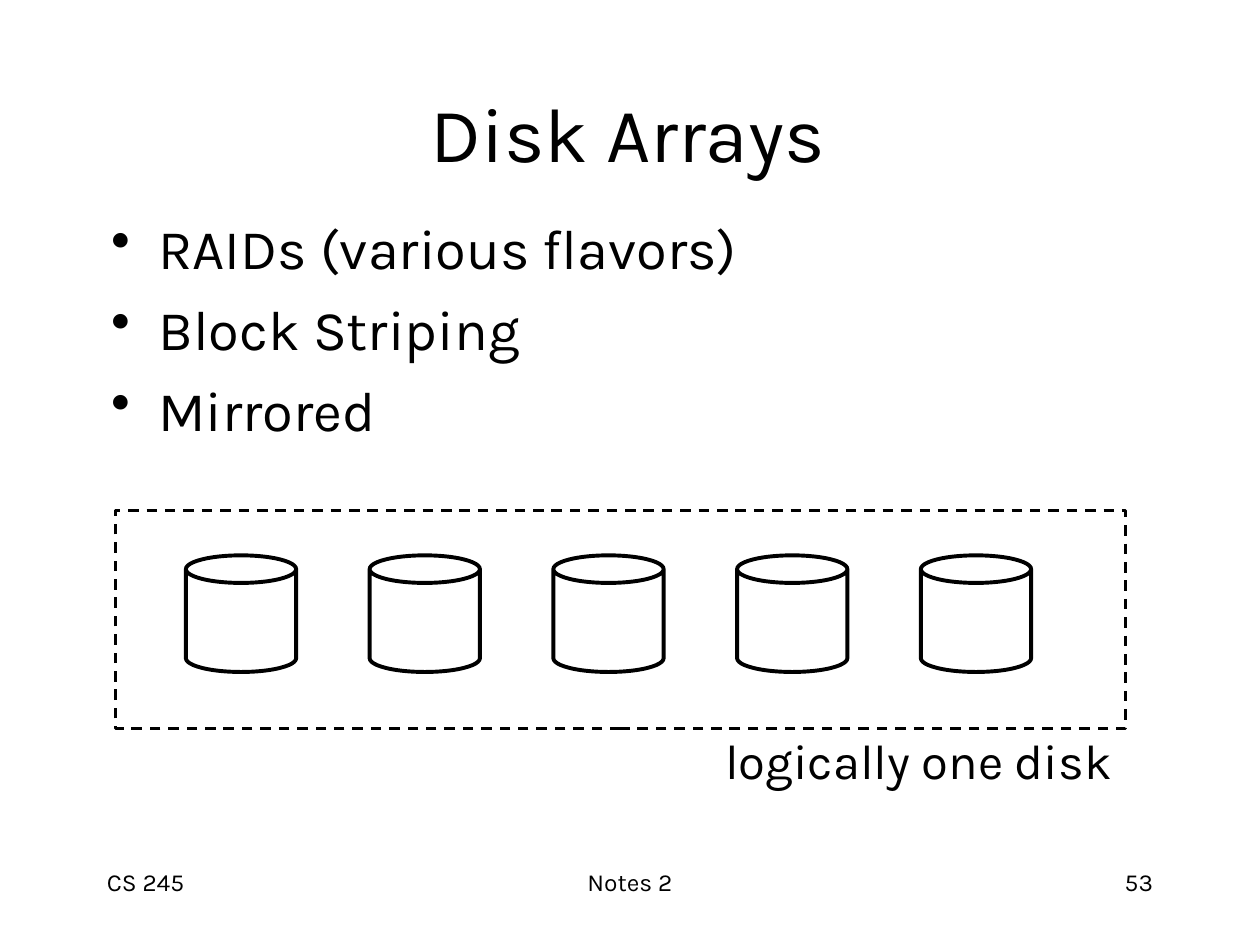
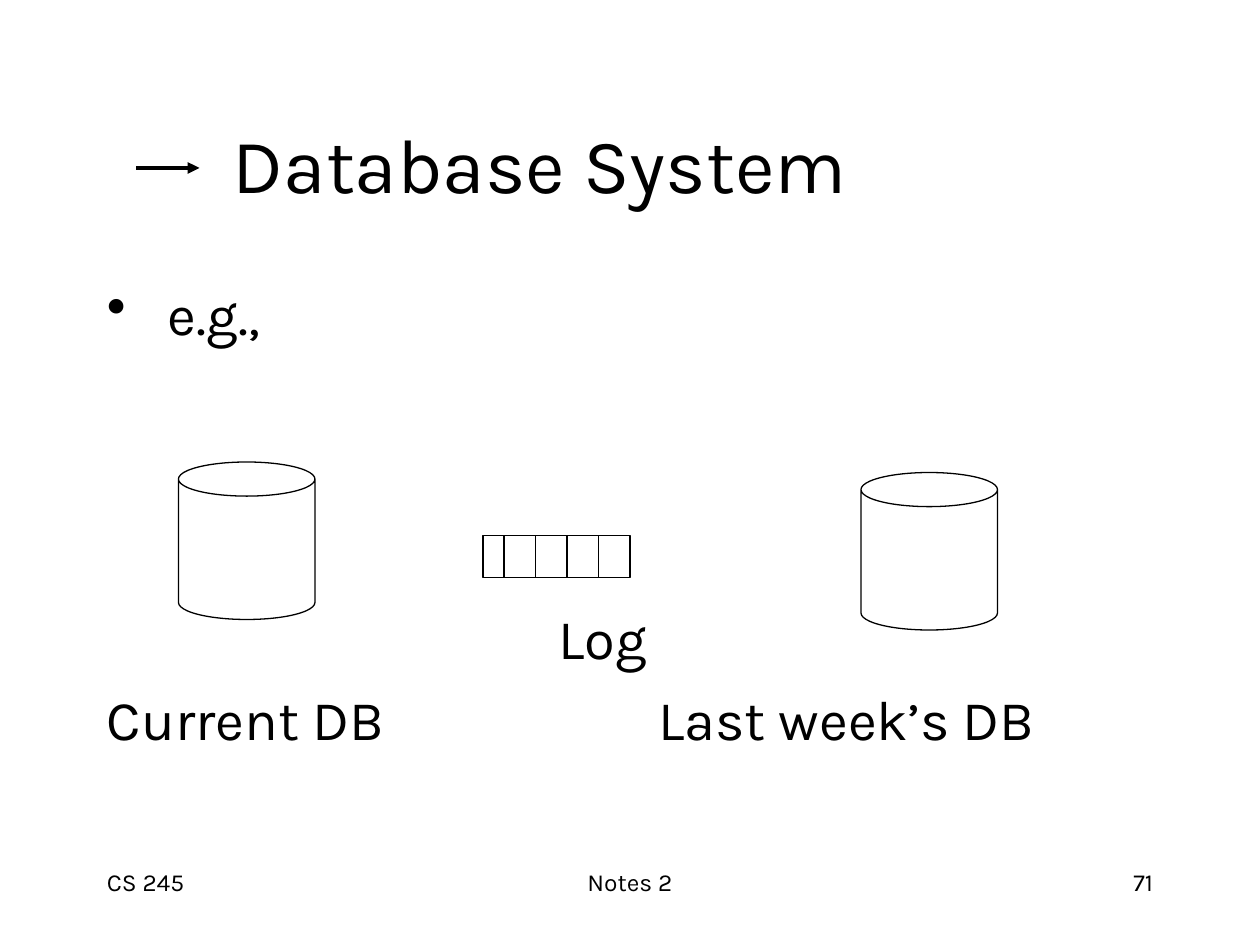
from lxml import etree
from pptx import Presentation
from pptx.dml.color import RGBColor
from pptx.enum.dml import MSO_LINE_DASH_STYLE as Dash
from pptx.enum.shapes import MSO_CONNECTOR_TYPE as Connector, MSO_SHAPE as Shape
from pptx.enum.text import MSO_ANCHOR as Anchor, PP_ALIGN as Align
from pptx.oxml.ns import qn
from pptx.util import Pt

EMU_PER_PX = 7620  # 120 px to the inch
SLIDE_WIDTH, SLIDE_HEIGHT = 1200, 900
BLACK = RGBColor(0x00, 0x00, 0x00)
WHITE = RGBColor(0xFF, 0xFF, 0xFF)
FONT = "Karla"
TITLE_SIZE, BODY_SIZE, LABEL_SIZE, FOOTER_SIZE = 44, 32, 28, 14


def px(length):
    return length * EMU_PER_PX


class Deck:
    """Holds the shared style and the slide being drawn."""

    def __init__(self):
        self.presentation = Presentation()
        self.presentation.slide_width = px(SLIDE_WIDTH)
        self.presentation.slide_height = px(SLIDE_HEIGHT)
        self.slide = None

    def new_slide(self, number):
        self.slide = self.presentation.slides.add_slide(self.presentation.slide_layouts[6])
        self.text(90, 820, 250, 60, ["CS 245"], FOOTER_SIZE)
        self.text(410, 820, 380, 60, ["Notes 2"], FOOTER_SIZE, align=Align.CENTER)
        self.text(860, 820, 250, 60, [str(number)], FOOTER_SIZE, align=Align.RIGHT)

    def text(self, left, top, width, height, lines, size, align=Align.LEFT,
             anchor=Anchor.TOP, indent=0, bullet=False, wrap=True):
        box = self.slide.shapes.add_textbox(px(left), px(top), px(width), px(height))
        frame = box.text_frame
        frame.word_wrap = wrap
        frame.vertical_anchor = anchor
        for index, line in enumerate(lines):
            paragraph = frame.paragraphs[0] if index == 0 else frame.add_paragraph()
            paragraph.alignment = align
            if index:
                paragraph.space_before = Pt(8)
            properties = paragraph._p.get_or_add_pPr()
            if indent:
                properties.set("marL", str(px(indent)))
            if bullet:
                properties.set("indent", str(-px(indent)))
                etree.SubElement(properties, qn("a:buChar")).set("char", "•")
            run = paragraph.add_run()
            run.text = line
            run.font.name = FONT
            run.font.size = Pt(size)
            run.font.color.rgb = BLACK

    def title(self, left, top, width, height, words, align=Align.LEFT, indent=0):
        self.text(left, top, width, height, [words], TITLE_SIZE, align, Anchor.MIDDLE, indent)

    def bullets(self, left, top, width, height, lines, indent):
        self.text(left, top, width, height, lines, BODY_SIZE, indent=indent, bullet=True)

    def shape(self, kind, left, top, width, height, weight, fill=WHITE, dash=None):
        shape = self.slide.shapes.add_shape(kind, px(left), px(top), px(width), px(height))
        shape.shadow.inherit = False
        if fill is None:
            shape.fill.background()
        else:
            shape.fill.solid()
            shape.fill.fore_color.rgb = fill
        shape.line.color.rgb = BLACK
        shape.line.width = Pt(weight)
        if dash:
            shape.line.dash_style = dash

    def disk(self, left, top, width, height, weight):
        self.shape(Shape.CAN, left, top, width, height, weight)

    def line(self, x1, y1, x2, y2, weight, arrow=False):
        connector = self.slide.shapes.add_connector(
            Connector.STRAIGHT, px(x1), px(y1), px(x2), px(y2))
        connector.line.color.rgb = BLACK
        connector.line.width = Pt(weight)
        if arrow:
            etree.SubElement(connector.line._get_or_add_ln(), qn("a:tailEnd")).set("type", "triangle")
        etree.SubElement(connector._element.spPr, qn("a:effectLst"))


def disk_arrays(deck):
    deck.new_slide(53)
    deck.title(88, 61, 1020, 128, "Disk Arrays", Align.CENTER)
    deck.bullets(94, 197, 1020, 232,
                 ["RAIDs (various flavors)", "Block Striping", "Mirrored"], 45)
    # Five disks inside one logical disk
    for index in range(5):
        deck.disk(177 + 175 * index, 529, 105, 111, 2.25)
    deck.shape(Shape.RECTANGLE, 110, 486, 962, 208, 1.5, fill=None, dash=Dash.DASH)
    deck.text(679, 690, 396, 68, ["logically one disk"], LABEL_SIZE, wrap=False)


def database_system(deck):
    deck.new_slide(71)
    deck.title(90, 80, 1020, 150, "Database System", indent=120)
    deck.line(130, 160, 190, 160, 2.25, arrow=True)
    deck.bullets(90, 260, 1020, 80, ["e.g.,"], 58)
    # Labels of the two databases and the log
    deck.text(520, 569, 120, 76, ["Log"], BODY_SIZE)
    deck.text(90, 646, 320, 76, ["Current DB"], BODY_SIZE)
    deck.text(615, 646, 420, 76, ["Last week’s DB"], BODY_SIZE)
    # Databases
    deck.disk(170, 440, 130, 150, 0.75)
    deck.disk(820, 450, 130, 150, 0.75)
    # Log with its records
    log_top, log_height = 510, 40
    deck.shape(Shape.RECTANGLE, 460, log_top, 140, log_height, 0.75)
    for x in range(480, 600, 30):
        deck.line(x, log_top, x, log_top + log_height, 0.75)


def main():
    deck = Deck()
    disk_arrays(deck)
    database_system(deck)
    deck.presentation.save("out.pptx")


if __name__ == "__main__":
    main()
